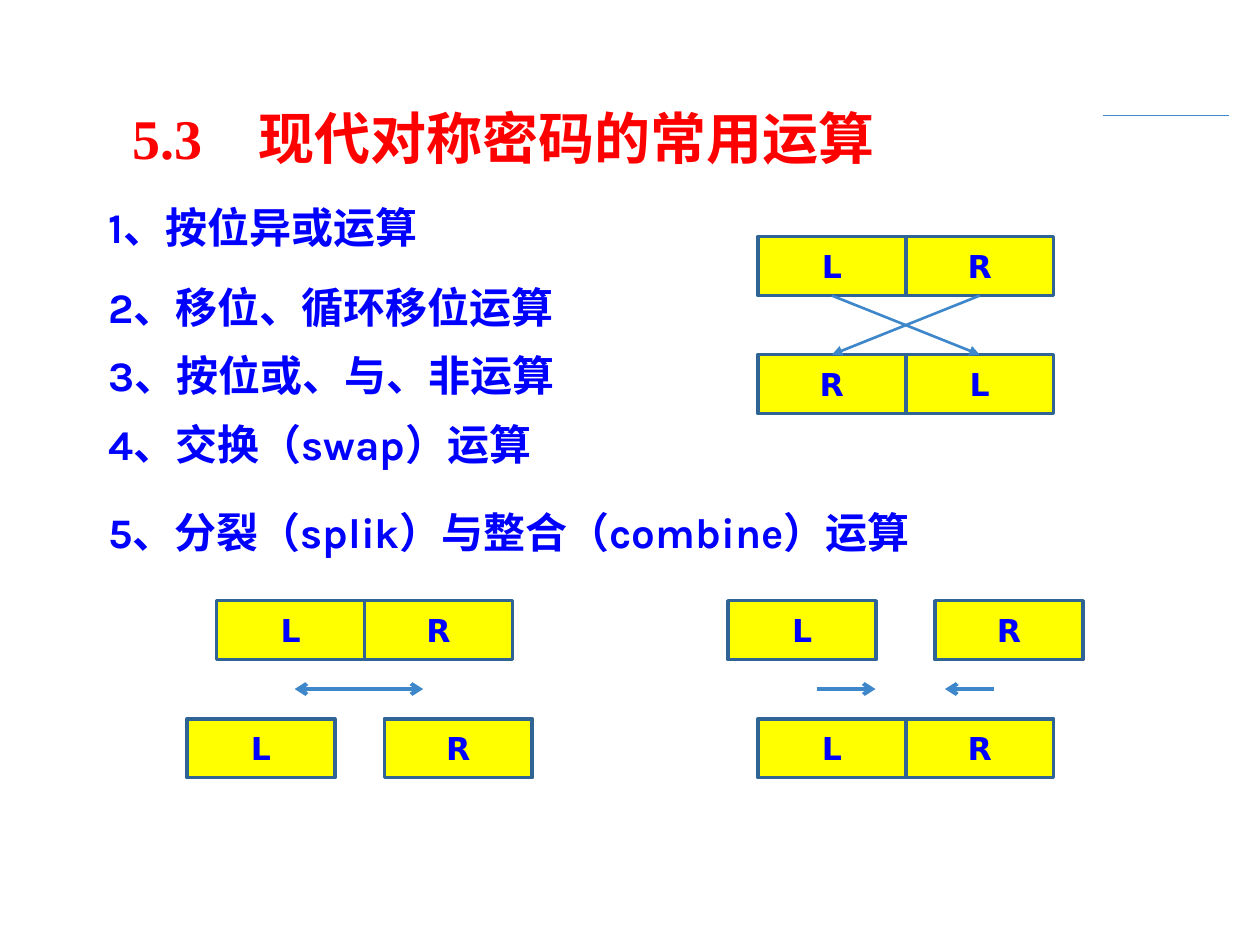
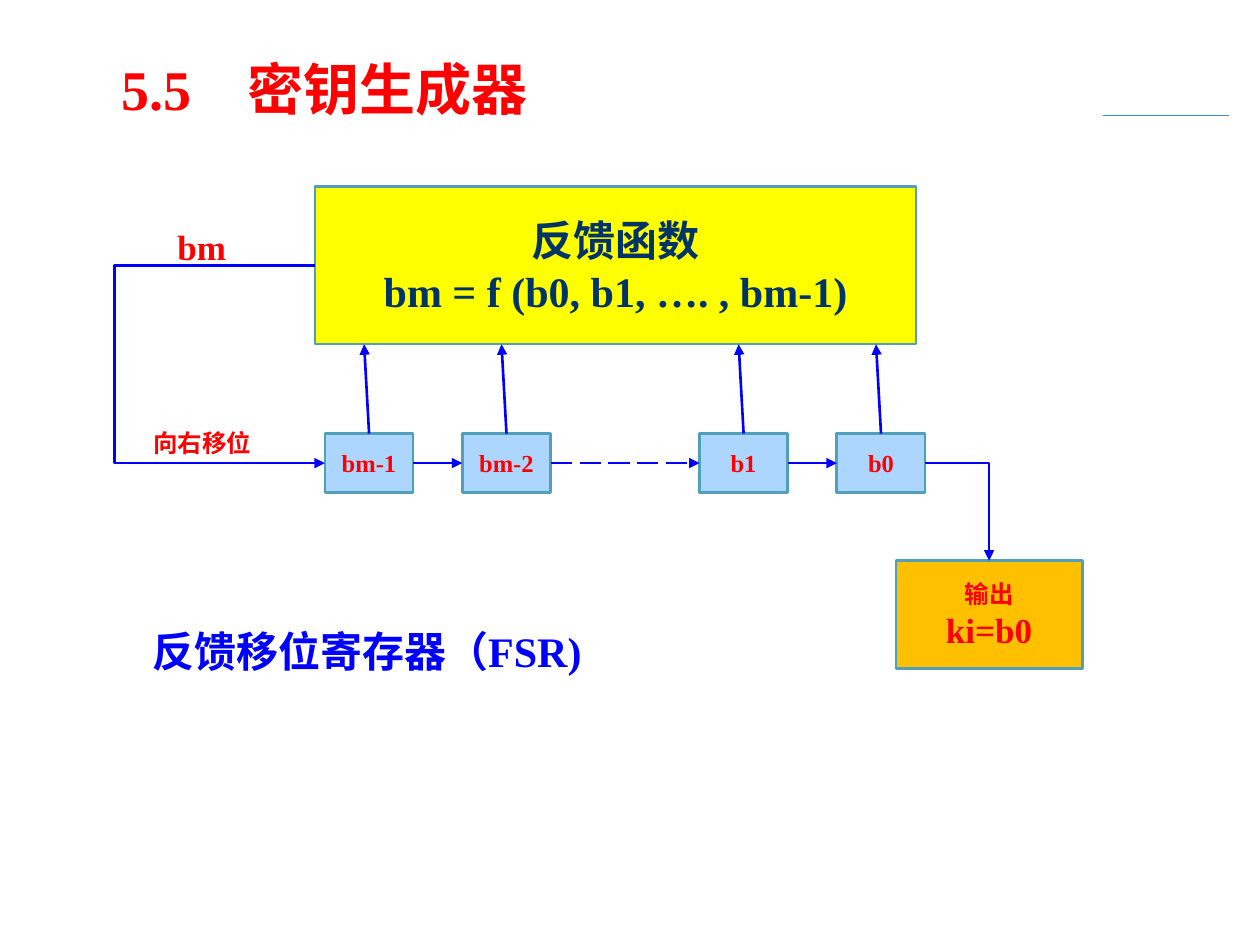
from lxml import etree
from pptx import Presentation
from pptx.dml.color import RGBColor
from pptx.enum.dml import MSO_LINE
from pptx.enum.shapes import MSO_CONNECTOR, MSO_SHAPE
from pptx.enum.text import MSO_ANCHOR, MSO_AUTO_SIZE, PP_ALIGN
from pptx.oxml.ns import qn
from pptx.util import Cm, Pt

RECT = MSO_SHAPE.RECTANGLE
STRAIGHT, ELBOW = MSO_CONNECTOR.STRAIGHT, MSO_CONNECTOR.ELBOW
LONG_DASH = MSO_LINE.LONG_DASH
TOP, MIDDLE = MSO_ANCHOR.TOP, MSO_ANCHOR.MIDDLE
LEFT, CENTER = PP_ALIGN.LEFT, PP_ALIGN.CENTER
NO_FIT = MSO_AUTO_SIZE.NONE
TOP_SITE, LEFT_SITE, RIGHT_SITE = 0, 1, 3

RED = RGBColor(0xFF, 0x00, 0x00)
BLUE = RGBColor(0x00, 0x00, 0xFF)
NAVY = RGBColor(0x00, 0x33, 0x66)
YELLOW = RGBColor(0xFF, 0xFF, 0x00)
SKY = RGBColor(0xAD, 0xD6, 0xFF)
ORANGE = RGBColor(0xFF, 0xC0, 0x00)
STEEL = RGBColor(0x2F, 0x64, 0x95)
TEAL = RGBColor(0x51, 0xA0, 0xB9)
ARROW_BLUE = RGBColor(0x3E, 0x87, 0xCA)
RULE_BLUE = RGBColor(0x43, 0x8A, 0xCB)

SERIF, SANS, LIST_FACE = "Times New Roman", "DejaVu Sans", "Karla"

OPERATIONS_TITLE = "5.3\t现代对称密码的常用运算"
OPERATIONS = [
    ("1、按位异或运算", 0),
    ("2、移位、循环移位运算", 16.4),
    ("3、按位或、与、非运算", 10),
    ("4、交换（swap）运算", 10.4),
    ("5、分裂（splik）与整合（combine）运算", 21.5),
]
HALF_W, HALF_H = 2.98, 1.19
HALF_ROWS = [
    ("LR", 15.28, 4.77, 0),
    ("RL", 15.28, 7.15, 0),
    ("LR", 4.37, 12.11, 0),
    ("LR", 3.77, 14.49, 1.0),
    ("LR", 14.68, 12.11, 1.19),
    ("LR", 15.28, 14.49, 0),
]
MOVE_Y = 13.89
MOVES = [
    (5.94, 8.53, {"head": "arrow", "tail": "arrow"}),
    (16.46, 17.65, {"tail": "arrow"}),
    (20.04, 19.05, {"tail": "arrow"}),
]

GENERATOR_TITLE = "5.5\t密钥生成器"
FEEDBACK = [("反馈函数", 24), ("bm = f (b0, b1, …. , bm-1)", 24)]
FEEDBACK_BOX = (6.35, 3.76, 12.12, 3.18)
FEEDBACK_TURN_X = 2.31
REGISTERS = [("bm-1", 6.55), ("bm-2", 9.32), ("b1", 14.1), ("b0", 16.87)]
REGISTER_TOP, REGISTER_W, REGISTER_H = 8.74, 1.78, 1.19
TAP_LEAN = 0.1
OUTPUT = [("输出", 14), ("ki=b0", 20)]
OUTPUT_BOX = (18.06, 11.3, 3.76, 2.18)
LABELS = [
    ("bm", 20, RED, (3.18, 4.37, 1.78, 1.19), MIDDLE, CENTER),
    ("向右移位", 14, RED, (2.39, 8.33, 3.38, 1.19), MIDDLE, CENTER),
    ("反馈移位寄存器（FSR)", 24, BLUE, (2.87, 12.5, 10.2, 1.22), TOP, LEFT),
]


def apply(target, values):
    for attribute, value in values.items():
        setattr(target, attribute, value)


def place(shape, box):
    apply(shape, dict(zip(("left", "top", "width", "height"), map(Cm, box))))


def write(shape, lines, face, color, anchor=MIDDLE, align=CENTER, wrap=True):
    frame = shape.text_frame
    apply(frame, {
        "auto_size": NO_FIT, "word_wrap": wrap, "vertical_anchor": anchor,
        "margin_left": Cm(0.2), "margin_right": Cm(0.2),
        "margin_top": Cm(0.1), "margin_bottom": Cm(0.1),
    })
    for number, (text, size) in enumerate(lines):
        paragraph = frame.add_paragraph() if number else frame.paragraphs[0]
        paragraph.alignment = align
        run = paragraph.add_run()
        run.text = text
        apply(run.font, {"name": face, "size": Pt(size), "bold": True})
        run.font.color.rgb = color
    return frame.paragraphs


def add_title(slide, text, left, top):
    title = slide.shapes.title
    place(title, (left, top, 16.5, 1.57))
    paragraph = write(title, [(text, 32)], SERIF, RED, TOP, LEFT)[0]
    tabs = etree.SubElement(paragraph._p.get_or_add_pPr(), qn("a:tabLst"))
    etree.SubElement(tabs, qn("a:tab"), pos=str(Cm(2.54)), algn="l")
    add_line(slide, (22.23, 2.33, 24.77, 2.33), RULE_BLUE, 0.75)


def add_box(slide, box, fill, outline, weight, lines, face, color):
    shape = slide.shapes.add_shape(RECT, *map(Cm, box))
    shape.shadow.inherit = False
    shape.fill.solid()
    shape.fill.fore_color.rgb = fill
    shape.line.color.rgb = outline
    shape.line.width = Pt(weight)
    write(shape, lines, face, color, wrap=False)
    return shape


def add_line(slide, ends, color, weight, kind=STRAIGHT, dash=None, head=None, tail=None):
    line = slide.shapes.add_connector(kind, *map(Cm, ends))
    line.line.color.rgb = color
    line.line.width = Pt(weight)
    if dash:
        line.line.dash_style = dash
    properties = line._element.spPr
    stroke = properties.find(qn("a:ln"))
    for tag, arrow in (("a:headEnd", head), ("a:tailEnd", tail)):
        if arrow:
            etree.SubElement(stroke, qn(tag), type=arrow)
    etree.SubElement(properties, qn("a:effectLst"))
    return line


def join(slide, start, start_site, end, end_site, kind=STRAIGHT, dash=None):
    line = add_line(slide, (0, 0, 1, 1), BLUE, 1.5, kind, dash, tail="triangle")
    line.begin_connect(start, start_site)
    line.end_connect(end, end_site)
    return line


def list_operations(body):
    place(body, (1.98, 3.96, 20.75, 7.5))
    lines = [(text, 24) for text, _ in OPERATIONS]
    paragraphs = write(body, lines, LIST_FACE, BLUE, TOP, LEFT)
    for paragraph, (_, gap) in zip(paragraphs, OPERATIONS):
        apply(paragraph, {"line_spacing": Pt(29), "space_before": Pt(gap), "space_after": Pt(0)})
        layout = paragraph._p.get_or_add_pPr()
        layout.set("marL", "0")
        layout.set("indent", "0")
        etree.SubElement(layout, qn("a:buNone"))


def build_operations(deck):
    slide = deck.slides.add_slide(deck.slide_layouts[1])
    add_title(slide, OPERATIONS_TITLE, 2.47, 1.98)
    list_operations(slide.placeholders[1])
    for halves, left, top, gap in HALF_ROWS:
        for column, half in enumerate(halves):
            box = (left + column * (HALF_W + gap), top, HALF_W, HALF_H)
            add_box(slide, box, YELLOW, STEEL, 2, [(half, 18)], SANS, BLUE)
    _, left, top, _ = HALF_ROWS[0]
    centers = [left + HALF_W / 2, left + HALF_W * 1.5]
    for start, end in (centers, centers[::-1]):
        ends = (start, top + HALF_H, end, HALF_ROWS[1][2])
        add_line(slide, ends, ARROW_BLUE, 1.5, tail="triangle")
    for start, end, arrows in MOVES:
        add_line(slide, (start, MOVE_Y, end, MOVE_Y), ARROW_BLUE, 2.25, **arrows)


def build_generator(deck):
    slide = deck.slides.add_slide(deck.slide_layouts[5])
    add_title(slide, GENERATOR_TITLE, 2.25, 0.99)
    feedback = add_box(slide, FEEDBACK_BOX, YELLOW, TEAL, 1.5, FEEDBACK, SERIF, NAVY)
    output = add_box(slide, OUTPUT_BOX, ORANGE, TEAL, 1.5, OUTPUT, SERIF, RED)
    feedback_bottom = FEEDBACK_BOX[1] + FEEDBACK_BOX[3]
    registers = []
    for bit, left in REGISTERS:
        box = (left, REGISTER_TOP, REGISTER_W, REGISTER_H)
        registers.append(add_box(slide, box, SKY, TEAL, 1.5, [(bit, 14)], SERIF, RED))
        center = left + REGISTER_W / 2
        ends = (center, REGISTER_TOP, center - TAP_LEAN, feedback_bottom)
        add_line(slide, ends, BLUE, 1.5, tail="triangle")
    for start, end, dash in zip(registers, registers[1:], (None, LONG_DASH, None)):
        join(slide, start, RIGHT_SITE, end, LEFT_SITE, dash=dash)

    loop = join(slide, feedback, LEFT_SITE, registers[0], LEFT_SITE, ELBOW)
    turn = (FEEDBACK_TURN_X - FEEDBACK_BOX[0]) / (REGISTERS[0][1] - FEEDBACK_BOX[0])
    guides = loop._element.spPr.find(qn("a:prstGeom")).find(qn("a:avLst"))
    etree.SubElement(guides, qn("a:gd"), name="adj1", fmla=f"val {round(turn * 100000)}")

    drop = join(slide, registers[-1], RIGHT_SITE, output, TOP_SITE, ELBOW)
    drop._element.spPr.find(qn("a:prstGeom")).set("prst", "bentConnector2")

    for text, size, color, box, anchor, align in LABELS:
        label = slide.shapes.add_textbox(*map(Cm, box))
        write(label, [(text, size)], SERIF, color, anchor, align)


def main():
    deck = Presentation()
    apply(deck, {"slide_width": Cm(25.4), "slide_height": Cm(19.05)})
    build_operations(deck)
    build_generator(deck)
    deck.save("out.pptx")


if __name__ == "__main__":
    main()
